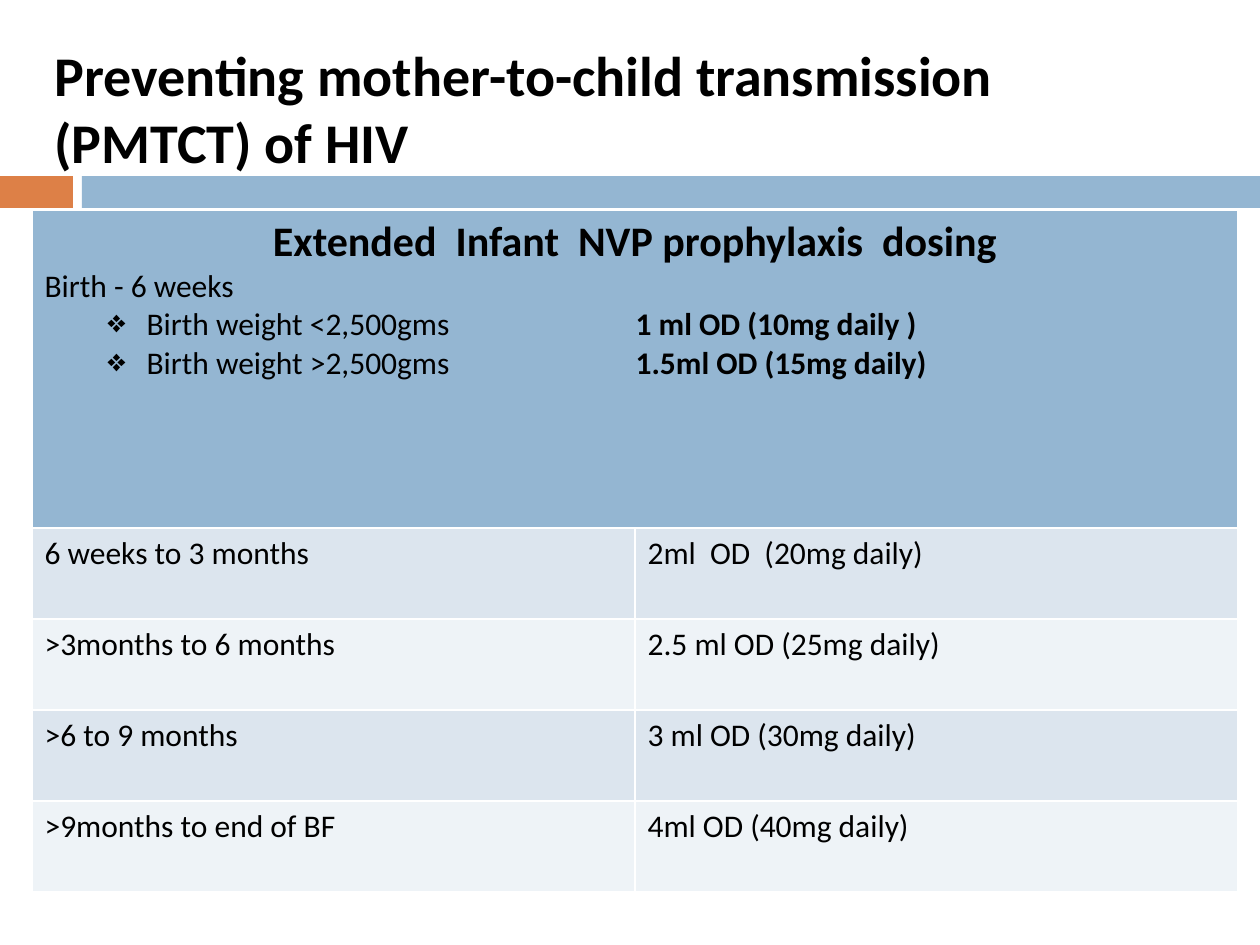
from lxml import etree
from pptx import Presentation
from pptx.dml.color import RGBColor
from pptx.enum.shapes import MSO_SHAPE
from pptx.enum.text import MSO_ANCHOR, PP_ALIGN
from pptx.oxml.ns import qn
from pptx.util import Pt

RECT = MSO_SHAPE.RECTANGLE
MIDDLE = MSO_ANCHOR.MIDDLE
CENTER, LEFT = PP_ALIGN.CENTER, PP_ALIGN.LEFT
PX = 914400 // 126
BLUE, ORANGE, WHITE = "94B6D2", "DD8047", "FFFFFF"
BANDS = ["DCE5EE", "EEF3F7"]


def paint(fill, color):
    fill.solid()
    fill.fore_color.rgb = RGBColor.from_string(color)


def write(para, text, size, bold=False):
    run = para.add_run()
    run.text = text
    look = {"name": "Calibri", "size": Pt(size), "bold": bold}
    for key, value in look.items():
        setattr(run.font, key, value)
    paint(run.font.fill, "000000")


deck = Presentation()
deck.slide_width, deck.slide_height = 1260 * PX, 945 * PX
slide = deck.slides.add_slide(deck.slide_layouts[6])

# Bars under the title
for left, width, color in [(0, 73, ORANGE), (82, 1178, BLUE)]:
    bar = slide.shapes.add_shape(RECT, left * PX, 176 * PX, width * PX, 32 * PX)
    bar.shadow.inherit = False
    paint(bar.fill, color)
    bar.line.fill.background()

# Title
title = slide.shapes.add_textbox(42 * PX, 31 * PX, 1165 * PX, 154 * PX)
frame = title.text_frame
frame.word_wrap = True
frame.vertical_anchor = MIDDLE
write(frame.paragraphs[0],
      "Preventing mother-to-child transmission (PMTCT) of HIV", 32, True)

# Dosing table
doses = [
    ("6 weeks to 3 months", "2ml  OD  (20mg daily)"),
    (">3months to 6 months", "2.5 ml OD (25mg daily)"),
    (">6 to 9 months", "3 ml OD (30mg daily)"),
    (">9months to end of BF", "4ml OD (40mg daily)"),
]
table = slide.shapes.add_table(len(doses) + 1, 2, 32 * PX, 210 * PX,
                               1206 * PX, 682 * PX).table
for col in table.columns:
    col.width = 603 * PX
for row in table.rows:
    row.height = 91 * PX
table.rows[0].height = 318 * PX

# Cell borders and fills
for r, row in enumerate(table.rows):
    for cell in row.cells:
        props = cell._tc.get_or_add_tcPr()
        for side in ("lnL", "lnR", "lnT", "lnB"):
            edge = etree.SubElement(props, qn("a:" + side), w=str(Pt(1)))
            solid = etree.SubElement(edge, qn("a:solidFill"))
            etree.SubElement(solid, qn("a:srgbClr"), val=WHITE)
        paint(cell.fill, BANDS[(r - 1) % 2] if r else BLUE)

# Heading cell with birth weight doses
head = table.cell(0, 0)
head.merge(table.cell(0, 1))
frame = head.text_frame
para = frame.paragraphs[0]
para.alignment = CENTER
write(para, "Extended  Infant  NVP prophylaxis  dosing", 24, True)
para = frame.add_paragraph()
para.alignment = LEFT
write(para, "Birth - 6 weeks", 18)

births = [
    ("Birth weight <2,500gms", "1 ml OD (10mg daily )"),
    ("Birth weight >2,500gms", "1.5ml OD (15mg daily)"),
]
for weight, dose in births:
    para = frame.add_paragraph()
    para.level = 1
    para.alignment = LEFT
    props = para._p.get_or_add_pPr()
    props.set("marL", str(102 * PX))
    props.set("indent", str(-39 * PX))
    etree.SubElement(props, qn("a:buChar"), char="❖")
    tabs = etree.SubElement(props, qn("a:tabLst"))
    etree.SubElement(tabs, qn("a:tab"), pos=str(591 * PX), algn="l")
    write(para, weight + "\t", 18)
    write(para, dose, 18, True)

# Doses by age
for r, pair in enumerate(doses, 1):
    for c, text in enumerate(pair):
        write(table.cell(r, c).text_frame.paragraphs[0], text, 18)

deck.save("out.pptx")
